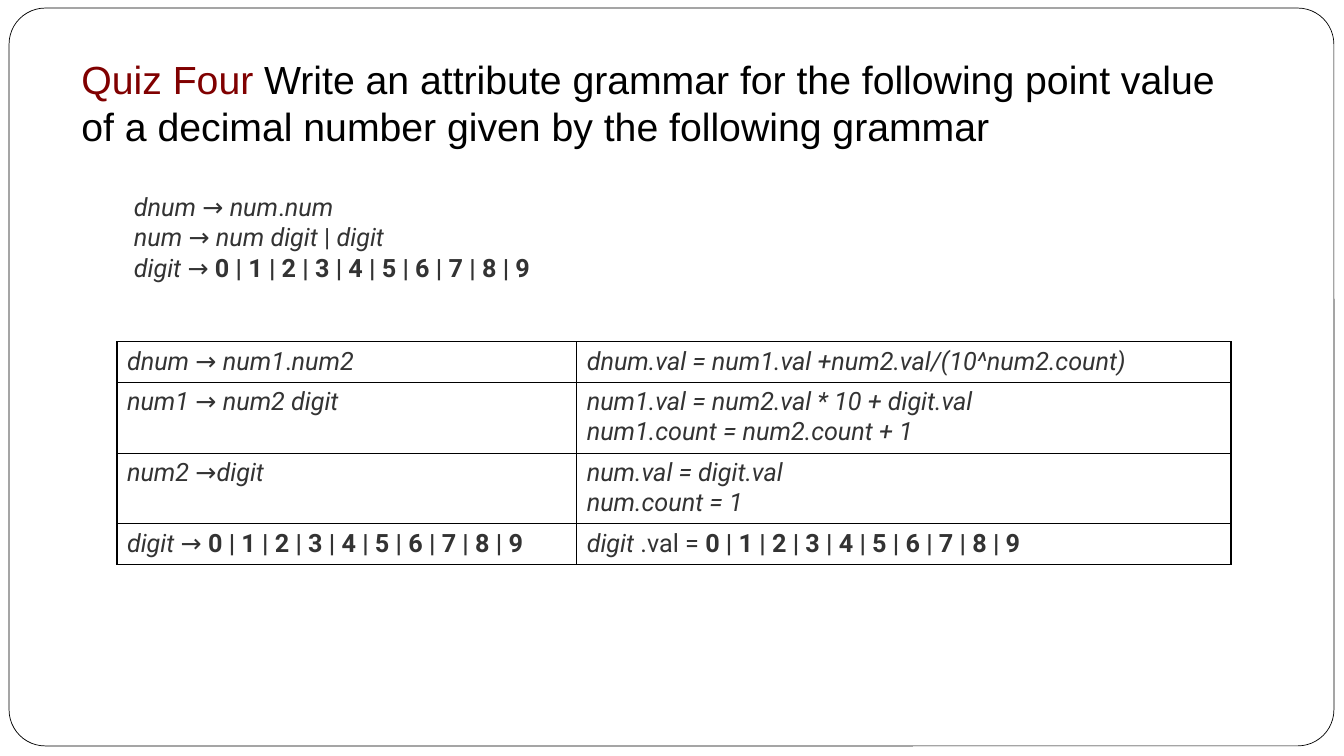
from lxml.etree import SubElement
from pptx import Presentation
from pptx.dml.color import RGBColor as RGB
from pptx.enum.shapes import MSO_SHAPE as Preset
from pptx.oxml.ns import qn
from pptx.util import Inches, Pt

COLORS = {"paper": "FFFFFF", "ink": "000000", "accent": "800000", "grammar": "333333"}
TITLE = {"name": "Arial", "size": Pt(28), "bold": False, "italic": False}
PLAIN = {"name": "Roboto", "size": Pt(18), "bold": False, "italic": False}
SYMBOL = {**PLAIN, "italic": True}
TERMINAL = {**PLAIN, "bold": True}

ARROW = (PLAIN, "\u00a0→\u00a0")
DIGITS = (TERMINAL, " | ".join(map(str, range(10))))
DIGIT_RULE = [(SYMBOL, "digit"), ARROW, DIGITS]

GRAMMAR = [
    [(SYMBOL, "dnum"), ARROW, (SYMBOL, "num"), (PLAIN, "."), (SYMBOL, "num")],
    [(SYMBOL, "num"), ARROW, (SYMBOL, "num digit\u00a0"), (PLAIN, "|\u00a0"), (SYMBOL, "digit")],
    DIGIT_RULE,
]
ATTRIBUTE_RULES = [
    ([(SYMBOL, "dnum"), ARROW, (SYMBOL, "num1"), (PLAIN, "."), (SYMBOL, "num2")],
     [[(SYMBOL, "dnum.val = num1.val +num2.val/(10^num2.count)")]]),
    ([(SYMBOL, "num1"), ARROW, (SYMBOL, "num2 digit")],
     [[(SYMBOL, "num1.val = num2.val * 10 + digit.val")],
      [(SYMBOL, "num1.count = num2.count + 1")]]),
    ([(SYMBOL, "num2"), (PLAIN, "\u00a0→"), (SYMBOL, "digit")],
     [[(SYMBOL, "num.val = digit.val")], [(SYMBOL, "num.count = 1")]]),
    (DIGIT_RULE,
     [[(SYMBOL, "digit"), (PLAIN, "\u00a0.val = "), DIGITS]]),
]


def write_run(paragraph, text, style, color):
    """Append one run with the given font values."""
    run = paragraph.add_run()
    run.text = text
    for attribute, value in style.items():
        setattr(run.font, attribute, value)
    run.font.color.rgb = RGB.from_string(COLORS[color])


def write_rule(paragraph, rule):
    """Append the styled pieces of a grammar rule."""
    for style, text in rule:
        write_run(paragraph, text, style, "grammar")


def add_text_frame(slide, box):
    """Add a wrapping text box and return its text frame."""
    frame = slide.shapes.add_textbox(*map(Inches, box)).text_frame
    frame.word_wrap = True
    return frame


def add_border(slide, box):
    """Draw the rounded outline of the slide."""
    border = slide.shapes.add_shape(Preset.ROUNDED_RECTANGLE, *map(Inches, box))
    border.adjustments[0] = 0.049
    border.shadow.inherit = False
    border.fill.solid()
    border.fill.fore_color.rgb = RGB.from_string(COLORS["paper"])
    border.line.color.rgb = RGB.from_string(COLORS["ink"])
    border.line.width = Pt(0.5)


def add_question(slide, box):
    """Write the quiz label and its question."""
    question = add_text_frame(slide, box).paragraphs[0]
    write_run(question, "Quiz Four ", TITLE, "accent")
    write_run(question, "Write an attribute grammar for the following point value "
              "of a decimal number given by the following grammar", TITLE, "ink")


def add_grammar(slide, box):
    """Write the grammar rules, one to a line."""
    rules = add_text_frame(slide, box).paragraphs[0]
    for index, rule in enumerate(GRAMMAR):
        if index:
            rules.add_line_break()
        write_rule(rules, rule)


def outline_cell(cell):
    """Give a cell thin borders and no fill."""
    properties = cell._tc.get_or_add_tcPr()
    for side in ("lnL", "lnR", "lnT", "lnB"):
        edge = SubElement(properties, qn(f"a:{side}"), w=str(Pt(1)))
        SubElement(SubElement(edge, qn("a:solidFill")), qn("a:srgbClr"), val=COLORS["ink"])
    cell.fill.background()


def add_attribute_table(slide, box):
    """Set each grammar rule beside its attribute equations."""
    left, top, width, height = map(Inches, box)
    table = slide.shapes.add_table(len(ATTRIBUTE_RULES), 2, left, top, width, height).table
    table.first_row = table.horz_banding = False
    table.columns[0].width = Inches(4.56)
    table.columns[1].width = width - Inches(4.56)
    for row, (rule, equations) in enumerate(ATTRIBUTE_RULES):
        table.rows[row].height = Inches(0.11 + 0.295 * len(equations))
        for column, lines in enumerate(([rule], equations)):
            cell = table.cell(row, column)
            outline_cell(cell)
            for index, line in enumerate(lines):
                frame = cell.text_frame
                write_rule(frame.add_paragraph() if index else frame.paragraphs[0], line)


def build_quiz():
    """Build and save the quiz slide."""
    deck = Presentation()
    deck.slide_width, deck.slide_height = Inches(13.33), Inches(7.5)
    slide = deck.slides.add_slide(deck.slide_layouts[6])
    add_border(slide, (0.09, 0.08, 13.14, 7.32))
    add_question(slide, (0.71, 0.5, 11.47, 1.04))
    add_grammar(slide, (1.23, 1.85, 6.67, 1.01))
    add_attribute_table(slide, (1.16, 3.39, 11.05, 2.21))
    deck.save("out.pptx")


build_quiz()
